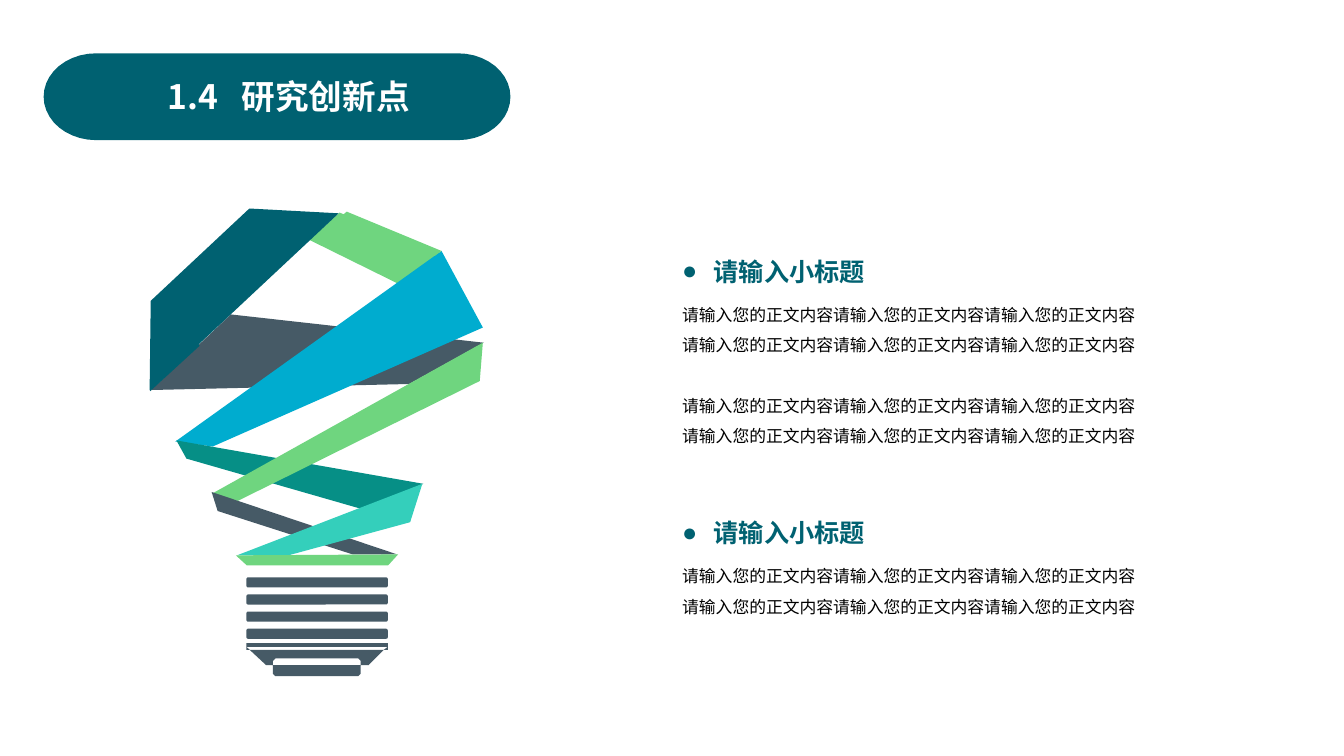
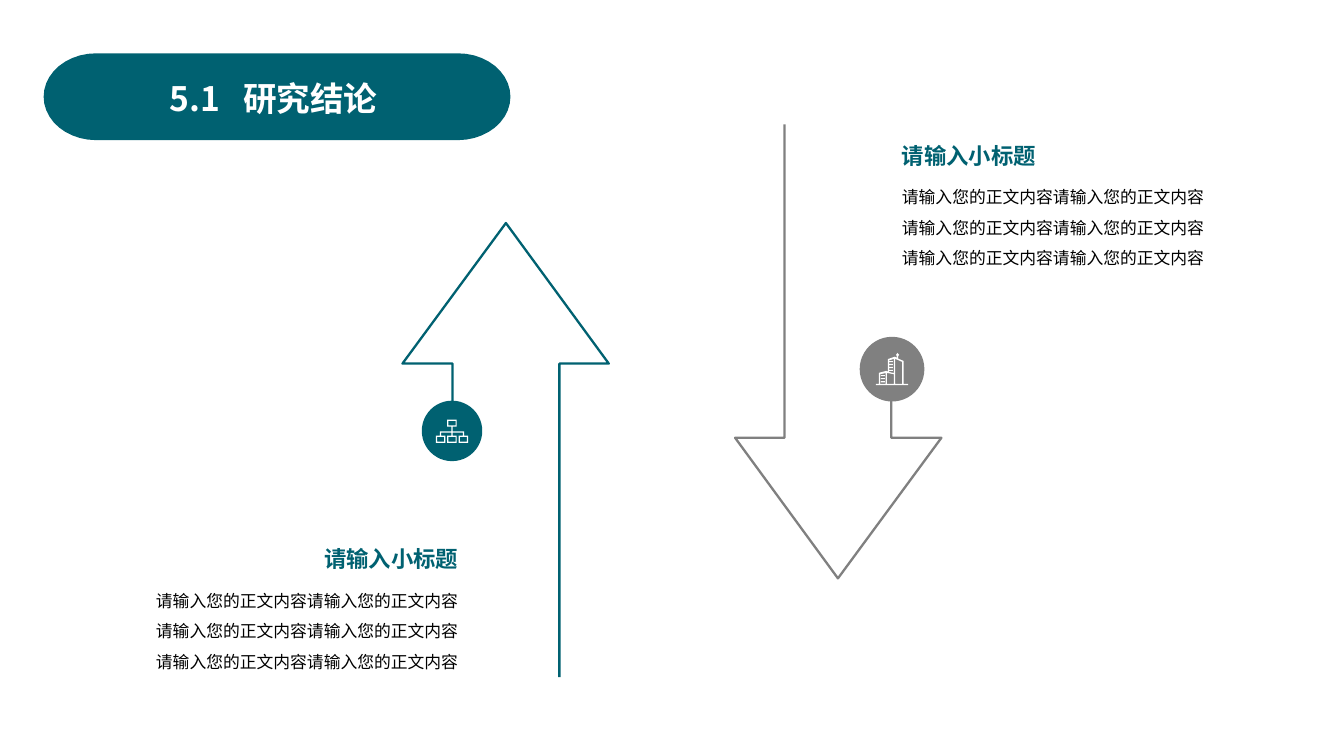
"""Build two slides of a research deck: innovation points and conclusions."""
from dataclasses import dataclass
from math import cos, pi, sin
from typing import Optional

from lxml import etree
from pptx import Presentation
from pptx.dml.color import RGBColor
from pptx.enum.shapes import MSO_SHAPE
from pptx.enum.text import MSO_ANCHOR, PP_ALIGN
from pptx.oxml.ns import qn
from pptx.shapes.autoshape import Shape
from pptx.slide import Slide
from pptx.text.text import TextFrame, _Paragraph
from pptx.util import Pt

ROUND = MSO_SHAPE.ROUNDED_RECTANGLE
OVAL = MSO_SHAPE.OVAL
TRAPEZE = MSO_SHAPE.TRAPEZOID
TOP = MSO_ANCHOR.TOP
LEFT = PP_ALIGN.LEFT
RIGHT = PP_ALIGN.RIGHT

DARK = RGBColor(0x00, 0x61, 0x71)
GREEN = RGBColor(0x6F, 0xD5, 0x7F)
SLATE = RGBColor(0x46, 0x5A, 0x66)
BLUE = RGBColor(0x00, 0xAC, 0xCF)
TEAL = RGBColor(0x06, 0x8F, 0x86)
MINT = RGBColor(0x34, 0xCF, 0xBB)
GRAY = RGBColor(0x80, 0x80, 0x80)
WHITE = RGBColor(0xFF, 0xFF, 0xFF)
BLACK = RGBColor(0x00, 0x00, 0x00)

FACE = "Noto Sans CJK SC"
HEAD = "请输入小标题"
UNIT = "请输入您的正文内容"
THIN = 0.9
ARROW = 1.63

Path = list[tuple[float, float]]


@dataclass(frozen=True)
class Box:
    left: float
    top: float
    width: float
    height: float


@dataclass(frozen=True)
class Ribbon:
    color: RGBColor
    points: Path


@dataclass(frozen=True)
class Line:
    text: str
    gap: float = 0


@dataclass(frozen=True)
class Block:
    box: Box
    size: float
    lines: list[Line]
    align: PP_ALIGN = LEFT
    dot: bool = False


RIBBONS = [
    Ribbon(GREEN, [(242.6, 151.9), (316.1, 181.4), (283.7, 202.3), (221, 171.4)]),
    Ribbon(SLATE, [(164.9, 224.6), (345.6, 244.8), (292.3, 274.3), (108, 278.6)]),
    Ribbon(BLUE, [(315.4, 179.3), (344.9, 234), (151.9, 319), (125.3, 315.4)]),
    Ribbon(TEAL, [(126, 314.6), (133.2, 327.6), (258.5, 363.6), (302.4, 345.6)]),
    Ribbon(GREEN, [(344.9, 244.8), (342.7, 272.2), (169.9, 357.8), (151.2, 352.8)]),
    Ribbon(SLATE, [(151.2, 351.4), (155.5, 365), (252, 396), (283.7, 396)]),
    Ribbon(MINT, [(301.7, 345.6), (293, 373), (205.9, 396.7), (169.2, 396.7)]),
    Ribbon(GREEN, [(176.4, 403.9), (277.2, 403.9), (284.4, 396), (168.5, 396.7)]),
]
BASE = [
    [(176, 459.4), (277, 459.4), (277, 464.2), (274.1, 464.2),
     (277, 462), (176, 462), (178.4, 464.2), (176, 464.2)],
    [(178.4, 464.2), (274.1, 464.2), (263.4, 475), (257.6, 475),
     (257.6, 472), (255.8, 470.2), (196.8, 470.2), (195, 472),
     (195, 475), (190, 475)],
    [(195, 475), (257.6, 475), (257.6, 481.3), (255.8, 483),
     (196.8, 483), (195, 481.3)],
]
FOLDS = [
    Ribbon(GREEN, [(315.4, 179.3), (247.7, 151.2), (239.8, 157.7), (307.4, 181.4),
                   (310.3, 182.9)]),
    Ribbon(DARK, [(137.5, 239), (107.3, 274.3), (107.3, 279.4), (142.6, 247)]),
]
RISE = [(399.6, 483.6), (399.6, 259.7), (434.9, 259.7), (361.4, 159.3),
        (287.5, 259.7), (323.3, 259.7), (323.3, 288)]
TOWERS = [
    [(625.7, 274.3), (627.8, 274.3), (627.8, 266.3), (633.1, 264.9),
     (634.2, 265.4), (634.2, 256.5), (639, 254.8), (640.6, 255.4),
     (640.6, 254.6), (640.1, 253.4), (641.1, 252.1), (642.2, 253.4),
     (641.5, 254.7), (641.5, 256.1), (645.4, 257.8), (645.4, 274.3),
     (648.7, 274.3), (648.7, 275.1), (625.7, 275.1)],
    [(633.6, 266.4), (633.6, 274.3), (638.6, 274.3), (638.6, 267.3)],
    [(632.7, 266.4), (628.6, 267.4), (628.6, 274.3), (632.7, 274.3)],
    [(639.4, 256.3), (639.4, 274.3), (644.5, 274.3), (644.5, 258.5)],
    [(638.6, 256.3), (635.1, 257.4), (635.1, 265.7), (638.6, 266.5)],
]


def paint(shape: Shape, fill: Optional[RGBColor], line: Optional[RGBColor] = None,
          width: float = THIN) -> None:
    shape.shadow.inherit = False
    if fill is None:
        shape.fill.background()
    else:
        shape.fill.solid()
        shape.fill.fore_color.rgb = fill
    if line is None:
        shape.line.fill.background()
    else:
        shape.line.color.rgb = line
        shape.line.width = Pt(width)


def preset(slide: Slide, kind: MSO_SHAPE, box: Box) -> Shape:
    return slide.shapes.add_shape(
        kind, Pt(box.left), Pt(box.top), Pt(box.width), Pt(box.height))


def trace(slide: Slide, paths: list[Path], close: bool = True) -> Shape:
    rings = [[(Pt(x), Pt(y)) for x, y in path] for path in paths]
    pen = slide.shapes.build_freeform(*rings[0][0])
    for i, ring in enumerate(rings):
        if i:
            pen.move_to(*ring[0])
        pen.add_line_segments(ring[1:], close=close)
    return pen.convert_to_shape()


def frame(slide: Slide, box: Box) -> TextFrame:
    area = slide.shapes.add_textbox(
        Pt(box.left), Pt(box.top), Pt(box.width), Pt(box.height))
    area.text_frame.word_wrap = True
    area.text_frame.vertical_anchor = TOP
    return area.text_frame


def write(para: _Paragraph, text: str, size: float, color: RGBColor,
          bold: bool = False) -> None:
    run = para.add_run()
    run.text = text
    font = run.font
    font.size = Pt(size)
    font.bold = bold
    font.color.rgb = color
    font.name = FACE
    east = etree.SubElement(run._r.get_or_add_rPr(), qn("a:ea"))
    east.set("typeface", FACE)


def title(slide: Slide, text: str, left: float, top: float) -> None:
    steps = [pi * i / 20 for i in range(21)]
    ends = [(327.1 + 36 * sin(a), 69.1 - 29.5 * cos(a)) for a in steps]
    ends += [(68.7 - 36 * sin(a), 69.1 + 29.5 * cos(a)) for a in steps]
    paint(trace(slide, [ends]), DARK, DARK, 3)
    area = frame(slide, Box(left, top, 193, 36))
    area.margin_left = 0
    para = area.paragraphs[0]
    tabs = etree.SubElement(para._p.get_or_add_pPr(), qn("a:tabLst"))
    stop = etree.SubElement(tabs, qn("a:tab"))
    stop.set("pos", str(Pt(52.7)))
    stop.set("algn", "l")
    write(para, text, 24, WHITE, True)


def bullet(para: _Paragraph) -> None:
    props = para._p.get_or_add_pPr()
    props.set("marL", str(Pt(22.5)))
    props.set("indent", str(-Pt(22.5)))
    etree.SubElement(props, qn("a:buFont")).set("typeface", "Arial")
    etree.SubElement(props, qn("a:buChar")).set("char", "●")


def prose(slide: Slide, block: Block) -> None:
    area = frame(slide, block.box)
    head = area.paragraphs[0]
    if block.dot:
        bullet(head)
    head.space_after = Pt(6)
    write(head, HEAD, block.size, DARK, True)
    for line in block.lines:
        para = area.add_paragraph()
        if line.gap:
            para.space_before = Pt(line.gap)
        write(para, line.text, 12, BLACK)
    for para in area.paragraphs:
        para.alignment = block.align
        para.line_spacing = 1.5


def bulb(slide: Slide) -> None:
    for band in RIBBONS:
        paint(trace(slide, [band.points]), band.color)
    for i in range(4):
        bar = preset(slide, ROUND, Box(176, 412.4 + 12.24 * i, 101, 7.2))
        paint(bar, SLATE)
    paint(trace(slide, BASE), SLATE)
    side = preset(slide, TRAPEZE, Box(66.2, 175.7, 185, 46.1))
    side.adjustments[0] = 0.96
    side.rotation = 316.9
    paint(side, DARK)
    for fold in FOLDS:
        paint(trace(slide, [fold.points]), fold.color)


def rect(left: float, top: float, width: float, height: float) -> Path:
    right, low = left + width, top + height
    return [(left, top), (right, top), (right, low), (left, low)]


def chart(slide: Slide) -> None:
    mids = [314.7 + 8.2 * i for i in range(3)]
    paths = [rect(mids[0] - 0.4, 308.2, 17.2, 0.8),
             rect(mids[1] - 0.4, 304.8, 0.8, 3.4)]
    paths += [rect(x - 0.4, 309, 0.8, 2.2) for x in mids]
    for x, y in [(mids[1], 299.7)] + [(x, 311.2) for x in mids]:
        paths += [rect(x - 3.4, y, 6.8, 5.1), rect(x - 2.5, y + 0.9, 5, 3.3)]
    paint(trace(slide, paths), WHITE)


def city(slide: Slide) -> None:
    panes = [rect(629.3, 267.9 + 2.2 * i, 2.7, 0.8) for i in range(3)]
    panes += [rect(635.2, 257.9 + 2.1 * i, 2.6, 0.8) for i in range(4)]
    paint(trace(slide, TOWERS + panes), WHITE)


def main() -> None:
    deck = Presentation()
    deck.slide_width = Pt(960)
    deck.slide_height = Pt(540)
    blank = deck.slide_layouts[6]

    ideas = deck.slides.add_slide(blank)
    title(ideas, "1.4\t研究创新点", 120, 50.6)
    bulb(ideas)
    full = Line(UNIT * 3)
    prose(ideas, Block(Box(480.2, 168.5, 358.6, 154.8), 18,
                       [full, full, Line(UNIT * 3, 21.6), full], dot=True))
    prose(ideas, Block(Box(480.2, 355.2, 358.6, 111.6), 18, [full, full], dot=True))

    ending = deck.slides.add_slide(blank)
    paint(trace(ending, [RISE], False), None, DARK, ARROW)
    paint(preset(ending, OVAL, Box(301.3, 286.2, 43.2, 43.2)), DARK)
    chart(ending)
    fall = [(960 - x, 572.4 - y) for x, y in RISE]
    paint(trace(ending, [fall], False), None, GRAY, ARROW)
    paint(preset(ending, OVAL, Box(615.6, 242.1, 43.2, 43.2)), GRAY, GRAY, 3)
    city(ending)
    title(ending, "5.1\t研究结论", 121, 51.8)
    pair = [Line(UNIT * 4), Line(UNIT * 2)]
    prose(ending, Block(Box(101.2, 376.6, 233.3, 108), 16, pair, RIGHT))
    prose(ending, Block(Box(637.2, 88.2, 233.3, 108), 16, pair))

    deck.save("out.pptx")


if __name__ == "__main__":
    main()
